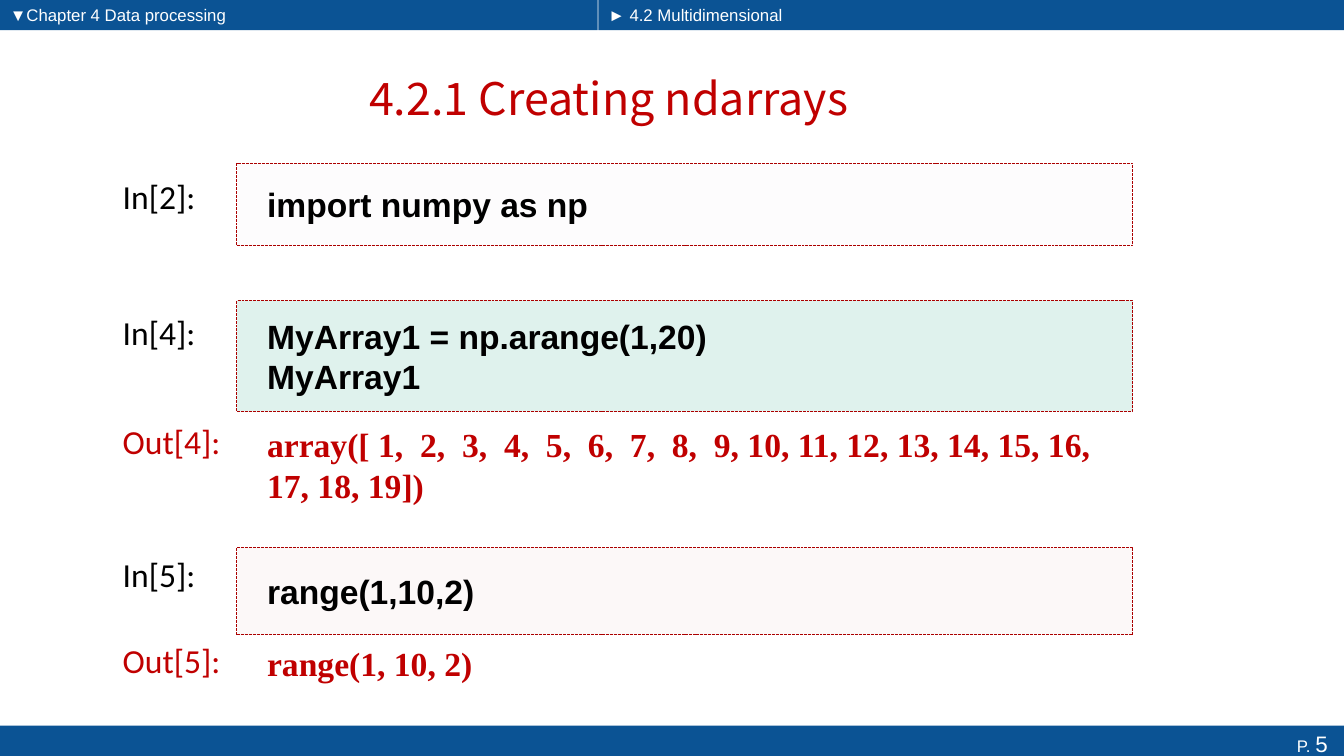
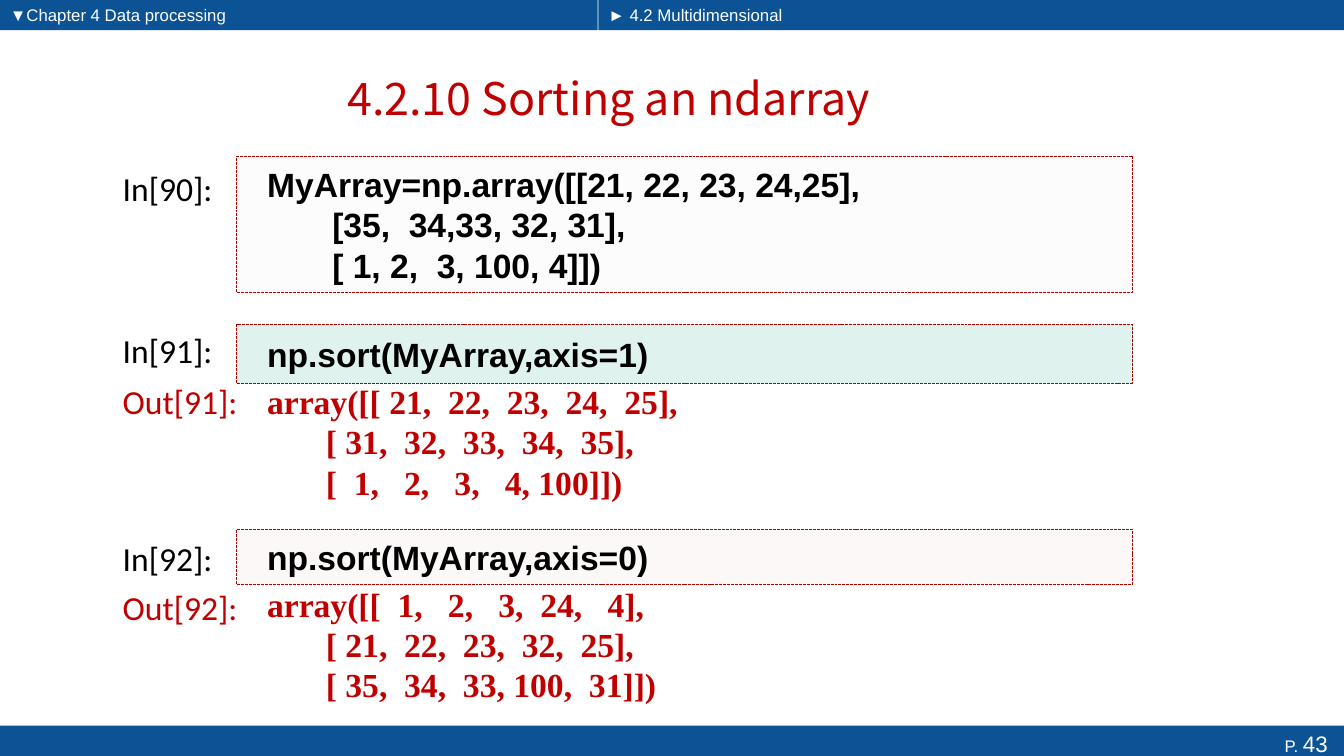
from pptx import Presentation
from pptx.dml.color import RGBColor
from pptx.enum.dml import MSO_LINE
from pptx.enum.shapes import MSO_SHAPE as Shape
from pptx.enum.text import MSO_ANCHOR as Anchor, MSO_AUTO_SIZE as AutoSize, PP_ALIGN as Align
from pptx.oxml.ns import qn
from pptx.util import Pt
from lxml import etree

# Shared colours
BLUE = RGBColor(0x0B, 0x53, 0x94)
RED = RGBColor(0xC0, 0x00, 0x00)
BORDER = RGBColor(0xAB, 0x00, 0x00)
BLACK = RGBColor(0x00, 0x00, 0x00)
WHITE = RGBColor(0xFF, 0xFF, 0xFF)
GREY_TINT = RGBColor(0xF1, 0xEE, 0xF4)
GREEN_TINT = RGBColor(0x0C, 0x9B, 0x74)
ROSE_TINT = RGBColor(0xED, 0xCD, 0xCB)
INPUT_TINTS = (GREY_TINT, GREEN_TINT, ROSE_TINT)
TINT_OPACITY = 13  # percent

# Shared measures, in points
PAGE_WIDTH, PAGE_HEIGHT = 960, 540
HEADER_HEIGHT, FOOTER_HEIGHT = 21.6, 21.6
HEADER_SPLIT, SPLIT_GAP = 427, 0.4
TITLE_BOX = (49, 37.4, 771.8, 64.8)
LABEL_LEFT, LABEL_WIDTH, LABEL_HEIGHT = 80.6, 112, 36
CODE_LEFT, INPUT_WIDTH, OUTPUT_WIDTH = 169.2, 640, 629.3
CODE_INSETS = (21.6, 3.6, 7.2, 3.6)

NAVIGATION = ("▼Chapter 4 Data processing", "► 4.2 Multidimensional")

# Cells: kind, number, label top, code top, code height, code
CREATING_CELLS = [
    ("In", 2, 122.4, 116.6, 59, "import numpy as np"),
    ("In", 4, 219.6, 214.6, 79.2, "MyArray1 = np.arange(1,20)\nMyArray1"),
    ("Out", 4, 297.4, 288.7, 86.4,
     "array([ 1,  2,  3,  4,  5,  6,  7,  8,  9, 10, 11, 12, 13, 14, 15, 16, 17, 18, 19])"),
    ("In", 5, 392.4, 391, 62.6, "range(1,10,2)"),
    ("Out", 5, 453.6, 450, 46.8, "range(1, 10, 2)"),
]
SORTING_CELLS = [
    ("In", 90, 116.6, 111.6, 97.2,
     "MyArray=np.array([[21, 22, 23, 24,25],\n"
     "       [35,  34,33, 32, 31],\n"
     "       [ 1, 2,  3, 100, 4]])"),
    ("In", 91, 231.8, 231.8, 41.8, "np.sort(MyArray,axis=1)"),
    ("Out", 91, 268.6, 264.2, 102.2,
     "array([[ 21,  22,  23,  24,  25],\n"
     "       [ 31,  32,  33,  34,  35],\n"
     "       [  1,   2,   3,   4, 100]])"),
    ("In", 92, 380.9, 378, 39.6, "np.sort(MyArray,axis=0)"),
    ("Out", 92, 415.4, 411.8, 96.5,
     "array([[  1,   2,   3,  24,   4],\n"
     "       [ 21,  22,  23,  32,  25],\n"
     "       [ 35,  34,  33, 100,  31]])"),
]


def points(*lengths):
    return [Pt(length) for length in lengths]


def add_span(para, text, size, font="Arial", color=WHITE, bold=False):
    span = para.add_run()
    span.text = text
    span.font.name, span.font.size = font, Pt(size)
    span.font.bold, span.font.color.rgb = bold, color


def set_text(box, text, size, align=Align.LEFT, anchor=Anchor.TOP,
             insets=(7.2, 3.6, 7.2, 3.6), **span_format):
    """Fill a box with one paragraph per line of text."""
    frame = box.text_frame
    frame.word_wrap, frame.auto_size = True, AutoSize.NONE
    frame.vertical_anchor = anchor
    (frame.margin_left, frame.margin_top,
     frame.margin_right, frame.margin_bottom) = points(*insets)
    for index, line in enumerate(text.split("\n")):
        para = frame.add_paragraph() if index else frame.paragraphs[0]
        para.alignment = align
        add_span(para, line, size, **span_format)
    return frame


def add_rectangle(page, bounds, fill, opacity=100):
    box = page.shapes.add_shape(Shape.RECTANGLE, *points(*bounds))
    box.shadow.inherit = False
    box.fill.solid()
    box.fill.fore_color.rgb = fill
    box.line.fill.background()
    if opacity < 100:
        color = box.fill._xPr.find(qn("a:solidFill")).find(qn("a:srgbClr"))
        etree.SubElement(color, qn("a:alpha")).set("val", str(opacity * 1000))
    return box


def add_header(page):
    """Two navigation bands with a hairline gap between them."""
    right = HEADER_SPLIT + SPLIT_GAP
    bands = ((0, HEADER_SPLIT), (right, PAGE_WIDTH - right))
    for (left, width), text in zip(bands, NAVIGATION):
        band = add_rectangle(page, (left, 0, width, HEADER_HEIGHT), BLUE)
        set_text(band, text, 12)


def add_footer(page, number):
    top = PAGE_HEIGHT - FOOTER_HEIGHT
    band = add_rectangle(page, (0, top, PAGE_WIDTH, FOOTER_HEIGHT), BLUE)
    frame = set_text(band, "P. ", 12, align=Align.RIGHT, insets=(7.2, 3, 11.6, 0))
    add_span(frame.paragraphs[0], str(number), 16)


def add_title(page, text):
    title = page.shapes.title
    title.left, title.top, title.width, title.height = points(*TITLE_BOX)
    set_text(title, text, 32, align=Align.CENTER, anchor=Anchor.MIDDLE,
             font="Noto Sans CJK SC", color=RED)


def add_cell(page, cell, tint):
    """A notebook cell: its label and its code; inputs get a dashed frame."""
    kind, number, label_top, top, height, code = cell
    is_input = kind == "In"
    color = BLACK if is_input else RED

    label = page.shapes.add_textbox(
        *points(LABEL_LEFT, label_top, LABEL_WIDTH, LABEL_HEIGHT))
    set_text(label, f"{kind}[{number}]:", 24, font="Calibri", color=color)

    if is_input:
        bounds = (CODE_LEFT, top, INPUT_WIDTH, height)
        box = add_rectangle(page, bounds, tint, TINT_OPACITY)
        box.line.color.rgb = BORDER
        box.line.width = Pt(0.7)
        box.line.dash_style = MSO_LINE.SQUARE_DOT
    else:
        box = page.shapes.add_textbox(*points(CODE_LEFT, top, OUTPUT_WIDTH, height))
    set_text(box, code, 24, anchor=Anchor.MIDDLE, insets=CODE_INSETS, bold=True,
             font="Arial" if is_input else "Times New Roman", color=color)


def add_notebook_page(deck, number, title, cells):
    page = deck.slides.add_slide(deck.slide_layouts[5])
    add_header(page)
    add_footer(page, number)
    add_title(page, title)
    tints = iter(INPUT_TINTS)
    for cell in cells:
        add_cell(page, cell, next(tints) if cell[0] == "In" else None)


def main():
    deck = Presentation()
    deck.slide_width, deck.slide_height = points(PAGE_WIDTH, PAGE_HEIGHT)
    add_notebook_page(deck, 5, "4.2.1 Creating ndarrays", CREATING_CELLS)
    add_notebook_page(deck, 43, "4.2.10 Sorting an ndarray", SORTING_CELLS)
    deck.save("out.pptx")


if __name__ == "__main__":
    main()
